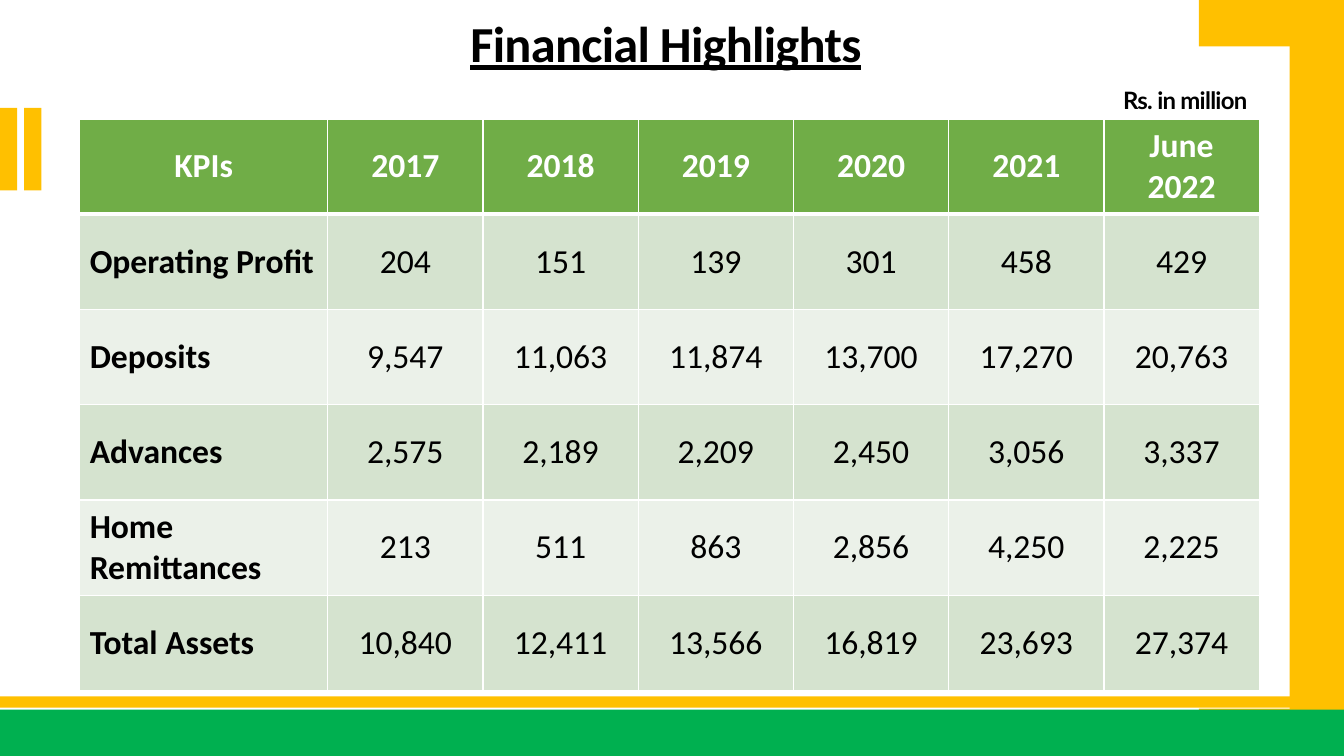
"""Build the Financial Highlights slide with its table of yearly KPIs."""
from typing import NamedTuple

from lxml import etree
from pptx import Presentation
from pptx import util as u
from pptx.dml.color import RGBColor
from pptx.enum import shapes, text
from pptx.oxml import ns

AMBER = RGBColor(0xFF, 0xC0, 0x00)
GREEN = RGBColor(0x00, 0xB0, 0x50)
HEADER = RGBColor(0x70, 0xAD, 0x47)
BAND_DARK = RGBColor(0xD5, 0xE3, 0xCF)
BAND_LIGHT = RGBColor(0xEB, 0xF1, 0xE9)
WHITE = RGBColor(0xFF, 0xFF, 0xFF)
BLACK = RGBColor(0x00, 0x00, 0x00)


class Bar(NamedTuple):
    left: float
    top: float
    width: float
    height: float
    color: RGBColor


class Kpi(NamedTuple):
    name: str
    values: tuple[str, ...]


BACK_BARS = [
    Bar(11.89, -0.01, 1.44, 0.47, AMBER),
    Bar(12.79, 0.03, 0.55, 7.48, AMBER),
    Bar(11.89, 7.03, 1.44, 0.47, AMBER),
    Bar(0, 7.04, 13.35, 0.48, GREEN),
    Bar(0, 6.91, 13.35, 0.07, AMBER),
    Bar(0, 1.07, 0.17, 0.82, AMBER),
    Bar(0.24, 1.07, 0.17, 0.82, AMBER),
]
FRONT_BARS = [
    Bar(0, 6.94, 13.33, 0.08, AMBER),
    Bar(0, 7.05, 13.33, 0.48, GREEN),
]
KPIS = [
    Kpi("KPIs", ("2017", "2018", "2019", "2020", "2021", "June 2022")),
    Kpi("Operating Profit", ("204", "151", "139", "301", "458", "429")),
    Kpi("Deposits", ("9,547", "11,063", "11,874", "13,700", "17,270", "20,763")),
    Kpi("Advances", ("2,575", "2,189", "2,209", "2,450", "3,056", "3,337")),
    Kpi("Home Remittances", ("213", "511", "863", "2,856", "4,250", "2,225")),
    Kpi("Total Assets", ("10,840", "12,411", "13,566", "16,819", "23,693", "27,374")),
]
NAME_WIDTH, YEAR_WIDTH, ROW_HEIGHT = 2.46, 1.54, 0.945


def add_bar(slide, bar: Bar) -> None:
    sp = slide.shapes.add_shape(
        shapes.MSO_SHAPE.RECTANGLE, *(u.Inches(v) for v in bar[:4]))
    sp.shadow.inherit = False
    sp.fill.solid()
    sp.fill.fore_color.rgb = bar.color
    sp.line.fill.background()


def format_paragraph(p, font: str, size: float, color: RGBColor, bold: bool,
                     align=text.PP_ALIGN.CENTER) -> None:
    p.alignment = align
    p.font.name = font
    p.font.size = u.Pt(size)
    p.font.bold = bold
    p.font.color.rgb = color


def tighten(p) -> None:
    for r in p.runs:
        r.font._element.set("spc", "-50")


def add_borders(cell, top: float, bottom: float) -> None:
    tc_pr = cell._tc.get_or_add_tcPr()
    for side, width in (("L", 1), ("R", 1), ("T", top), ("B", bottom)):
        ln = etree.SubElement(tc_pr, ns.qn(f"a:ln{side}"), w=str(u.Pt(width)))
        fill = etree.SubElement(ln, ns.qn("a:solidFill"))
        etree.SubElement(fill, ns.qn("a:srgbClr"), val=str(WHITE))


def add_title(slide) -> None:
    sp = slide.shapes.title
    sp.left, sp.top = u.Inches(1.25), u.Inches(-0.15)
    sp.width, sp.height = u.Inches(10.71), u.Inches(1.02)
    tf = sp.text_frame
    tf.text = "Financial Highlights"
    tf.auto_size = text.MSO_AUTO_SIZE.NONE
    tf.vertical_anchor = text.MSO_ANCHOR.MIDDLE
    p = tf.paragraphs[0]
    format_paragraph(p, "Calibri", 36, BLACK, True)
    p.font.underline = True
    p.line_spacing = 1.2
    tighten(p)


def add_unit_label(slide) -> None:
    sp = slide.shapes.add_textbox(
        u.Inches(10.89), u.Inches(0.78), u.Inches(1.73), u.Inches(0.43))
    tf = sp.text_frame
    tf.word_wrap = True
    tf.vertical_anchor = text.MSO_ANCHOR.MIDDLE
    tf.text = "Rs. in million"
    p = tf.paragraphs[0]
    format_paragraph(p, "Lato", 17.1, BLACK, True)
    tighten(p)


def add_kpi_table(slide, kpis: list[Kpi]) -> None:
    years = len(kpis[0].values)
    table = slide.shapes.add_table(
        len(kpis), years + 1, u.Inches(0.79), u.Inches(1.18),
        u.Inches(NAME_WIDTH + years * YEAR_WIDTH),
        u.Inches(len(kpis) * ROW_HEIGHT)).table
    for col, column in enumerate(table.columns):
        column.width = u.Inches(YEAR_WIDTH if col else NAME_WIDTH)
    for row, kpi in enumerate(kpis):
        table.rows[row].height = u.Inches(ROW_HEIGHT)
        is_header = row == 0
        band = HEADER if is_header else BAND_DARK if row % 2 else BAND_LIGHT
        for col, value in enumerate((kpi.name, *kpi.values)):
            cell = table.cell(row, col)
            add_borders(cell, 3 if row == 1 else 1, 3 if is_header else 1)
            cell.fill.solid()
            cell.fill.fore_color.rgb = band
            cell.vertical_anchor = text.MSO_ANCHOR.MIDDLE
            cell.text = value
            is_name = col == 0
            align = (text.PP_ALIGN.LEFT if is_name and not is_header
                     else text.PP_ALIGN.CENTER)
            format_paragraph(cell.text_frame.paragraphs[0], "Calibri", 24,
                             WHITE if is_header else BLACK,
                             is_header or is_name, align)


def main() -> None:
    prs = Presentation()
    prs.slide_width, prs.slide_height = u.Inches(13.33), u.Inches(7.5)
    s = prs.slides.add_slide(prs.slide_layouts[5])
    for bar in BACK_BARS:
        add_bar(s, bar)
    add_title(s)
    add_kpi_table(s, KPIS)
    add_unit_label(s)
    for bar in FRONT_BARS:
        add_bar(s, bar)
    prs.save("out.pptx")


if __name__ == "__main__":
    main()
